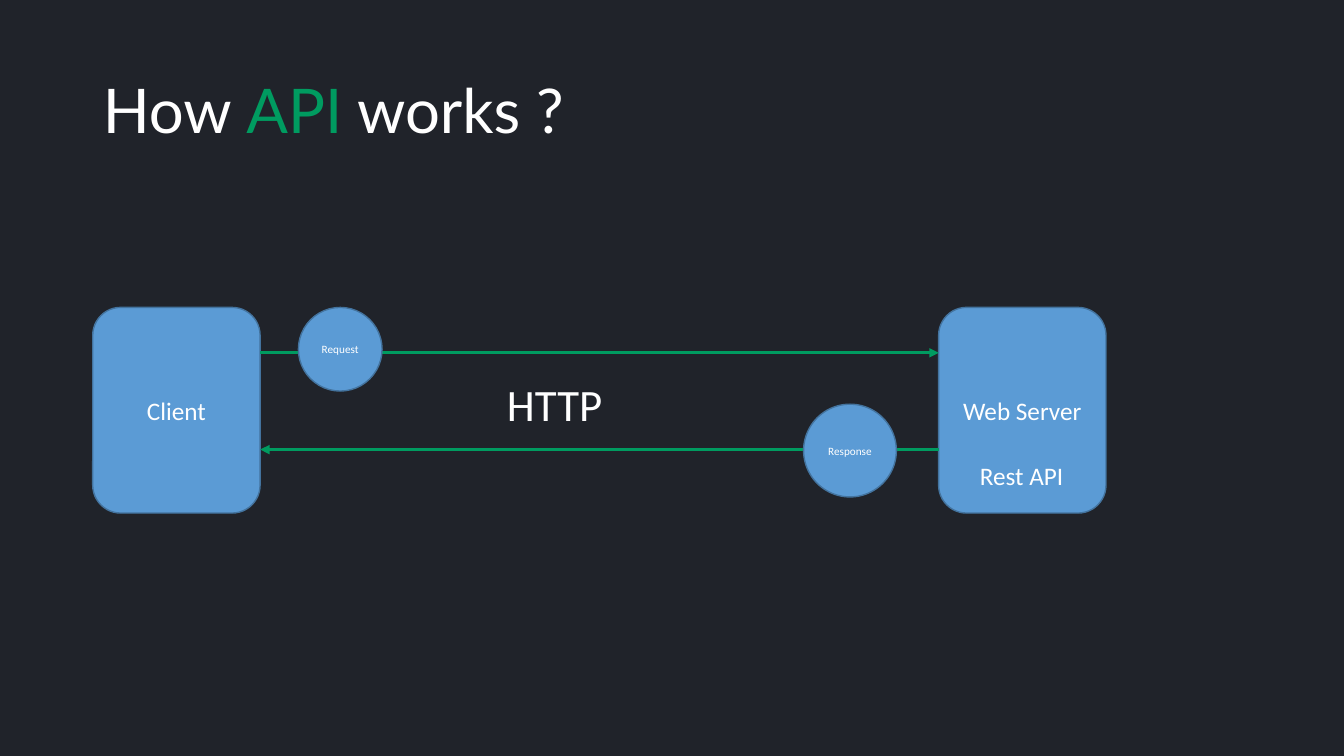
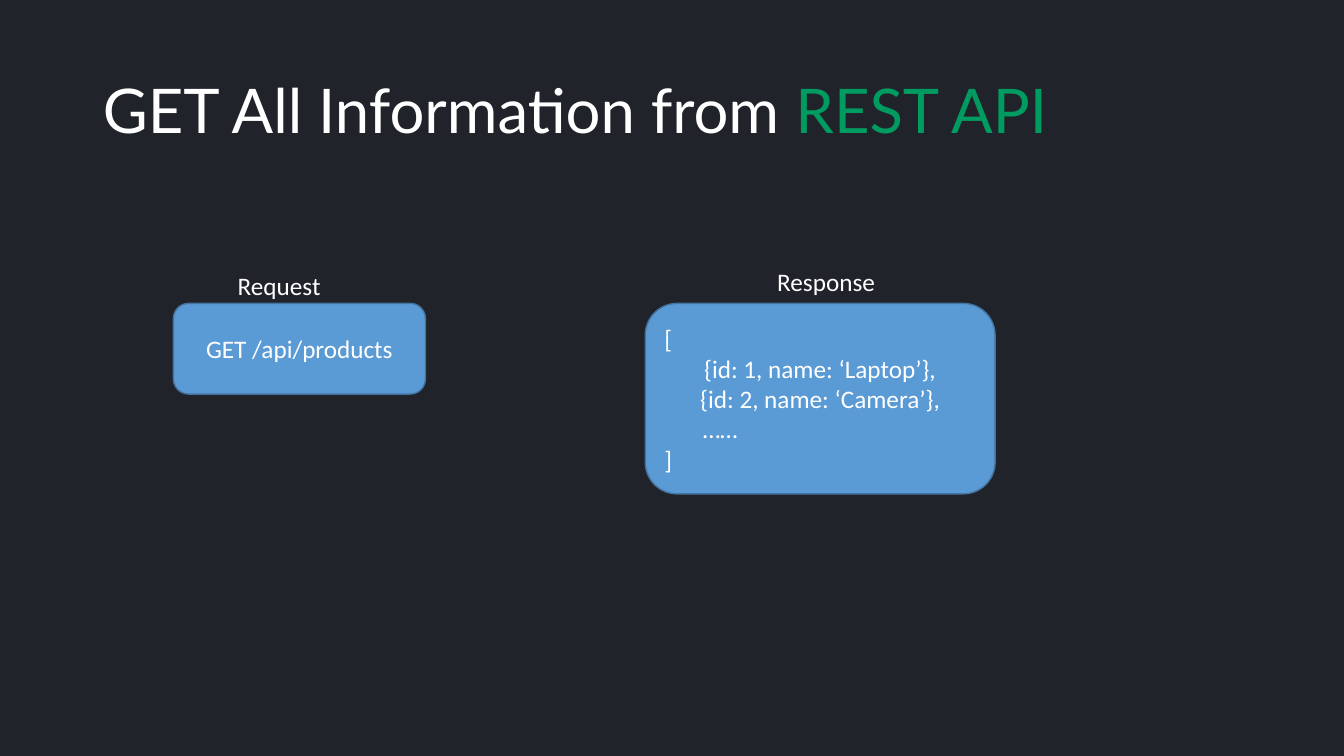
from dataclasses import dataclass

from lxml import etree
from pptx import Presentation
from pptx.dml.color import RGBColor as RGB
from pptx.enum.shapes import MSO_CONNECTOR as Line, MSO_SHAPE as Kind
from pptx.enum.text import MSO_ANCHOR as Anchor, MSO_AUTO_SIZE as Fit, PP_ALIGN as Align
from pptx.oxml.ns import qn
from pptx.util import Inches, Pt


@dataclass(frozen=True)
class Theme:
    back: RGB = RGB(0x20, 0x23, 0x2A)
    text: RGB = RGB(0xFF, 0xFF, 0xFF)
    accent: RGB = RGB(0x00, 0x9B, 0x60)
    fill: RGB = RGB(0x5B, 0x9B, 0xD5)
    edge: RGB = RGB(0x43, 0x73, 0x9E)
    head: str = "Lato"
    body: str = "Calibri"
    title: int = 44
    large: int = 32
    base: int = 18
    small: int = 8


T = Theme()
LEFT, MID = Align.LEFT, Align.CENTER
ROUND, OVAL, CARD = Kind.ROUNDED_RECTANGLE, Kind.OVAL, Kind.FLOWCHART_ALTERNATE_PROCESS

# Client and server geometry
TOP, WIDE, TALL = 3.05, 1.66, 2.04
CLIENT, SERVER = 0.92, 9.31
EDGE = CLIENT + WIDE
ROW = 3.01

# Lines are (text, alignment, indent); title runs are (text, is accent)
SLIDES = [
    dict(
        title=[("How ", False), ("API", True), (" works ?", False)],
        nodes=[
            (ROUND, (CLIENT, TOP, WIDE, TALL), T.base, [("Client", MID, 0)]),
            (ROUND, (SERVER, TOP, WIDE, TALL), T.base, [("Web Server", MID, 0)]),
        ],
        arrows=[(EDGE, SERVER, 3.5), (SERVER, EDGE, 4.46)],
        tokens=[
            (OVAL, (2.96, TOP, 0.83, 0.83), T.small, [("Request", MID, 0)]),
            (OVAL, (7.97, 4.01, 0.92, 0.92), T.small, [("Response", MID, 0)]),
        ],
        labels=[
            ("HTTP", (4.93, 3.69, 1.16, 0.64), T.large),
            ("Rest API", (9.62, 4.52, 1.04, 0.4), T.base),
        ],
    ),
    dict(
        title=[("GET All Information from ", False), ("REST API", True)],
        nodes=[
            (CARD, (1.72, ROW, 2.5, 0.9), T.base, [("GET /api/products", MID, 0)]),
            (CARD, (6.4, ROW, 3.47, 1.89), T.base, [
                ("[", LEFT, 0),
                ("{id: 1, name: ‘Laptop’},", MID, 0),
                ("{id: 2, name: ‘Camera’},", MID, 0),
                ("……", LEFT, 0.38),
                ("]", LEFT, 0),
            ]),
        ],
        arrows=[],
        tokens=[],
        labels=[
            ("Request", (2.26, 2.63, 1.03, 0.4), T.base),
            ("Response", (7.61, 2.59, 1.18, 0.4), T.base),
        ],
    ),
]


def place(box):
    return [Inches(n) for n in box]


def style(font, name, size, color=T.text):
    font.name, font.size, font.color.rgb = name, Pt(size), color


def write(frame, lines, size):
    for i, (text, align, indent) in enumerate(lines):
        para = frame.add_paragraph() if i else frame.paragraphs[0]
        para.text, para.alignment = text, align
        style(para.font, T.body, size)
        if indent:
            para._p.get_or_add_pPr().set("marL", str(Inches(indent)))


def add_title(slide, runs):
    frame = slide.shapes.title.text_frame
    frame.auto_size, frame.word_wrap = Fit.NONE, True
    frame.vertical_anchor = Anchor.MIDDLE
    para = frame.paragraphs[0]
    para.alignment, para.line_spacing = LEFT, 0.9
    for text, accent in runs:
        run = para.add_run()
        run.text = text
        style(run.font, T.head, T.title, T.accent if accent else T.text)


def add_node(slide, kind, box, size, lines):
    node = slide.shapes.add_shape(kind, *place(box))
    node.shadow.inherit = False
    node.fill.solid()
    node.fill.fore_color.rgb = T.fill
    node.line.color.rgb, node.line.width = T.edge, Pt(1)
    node.text_frame.word_wrap = True
    node.text_frame.vertical_anchor = Anchor.MIDDLE
    write(node.text_frame, lines, size)


def add_arrow(slide, start, end, y):
    arrow = slide.shapes.add_connector(Line.STRAIGHT, *place((start, y, end, y)))
    arrow.line.color.rgb, arrow.line.width = T.accent, Pt(2.25)
    etree.SubElement(arrow.line._get_or_add_ln(), qn("a:tailEnd"), type="triangle")
    etree.SubElement(arrow._element.spPr, qn("a:effectLst"))


def add_label(slide, text, box, size):
    frame = slide.shapes.add_textbox(*place(box)).text_frame
    frame.word_wrap, frame.auto_size = False, Fit.SHAPE_TO_FIT_TEXT
    write(frame, [(text, LEFT, 0)], size)


def main():
    prs = Presentation()
    prs.slide_width, prs.slide_height = Inches(13.33), Inches(7.5)

    # Shared background and title position
    back = prs.slide_master.background.fill
    back.solid()
    back.fore_color.rgb = T.back
    layout = prs.slide_layouts.get_by_name("Title Only")
    head = layout.placeholders[0]
    head.left, head.top, head.width, head.height = place((0.92, 0.4, 11.5, 1.45))

    # Slides, from back to front
    for data in SLIDES:
        slide = prs.slides.add_slide(layout)
        add_title(slide, data["title"])
        for key, draw in (("nodes", add_node), ("arrows", add_arrow),
                          ("tokens", add_node), ("labels", add_label)):
            for item in data[key]:
                draw(slide, *item)
    prs.save("out.pptx")


if __name__ == "__main__":
    main()
